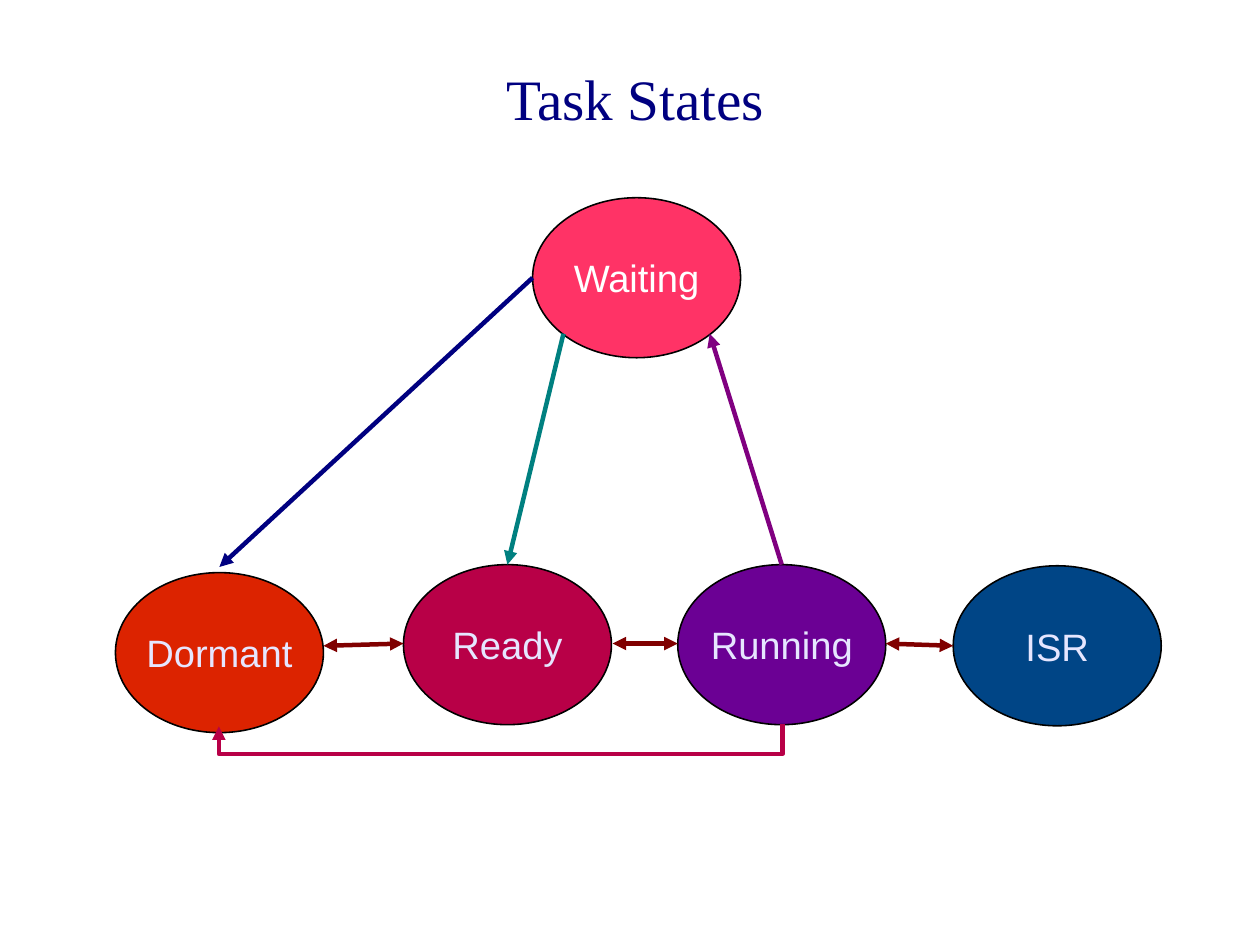
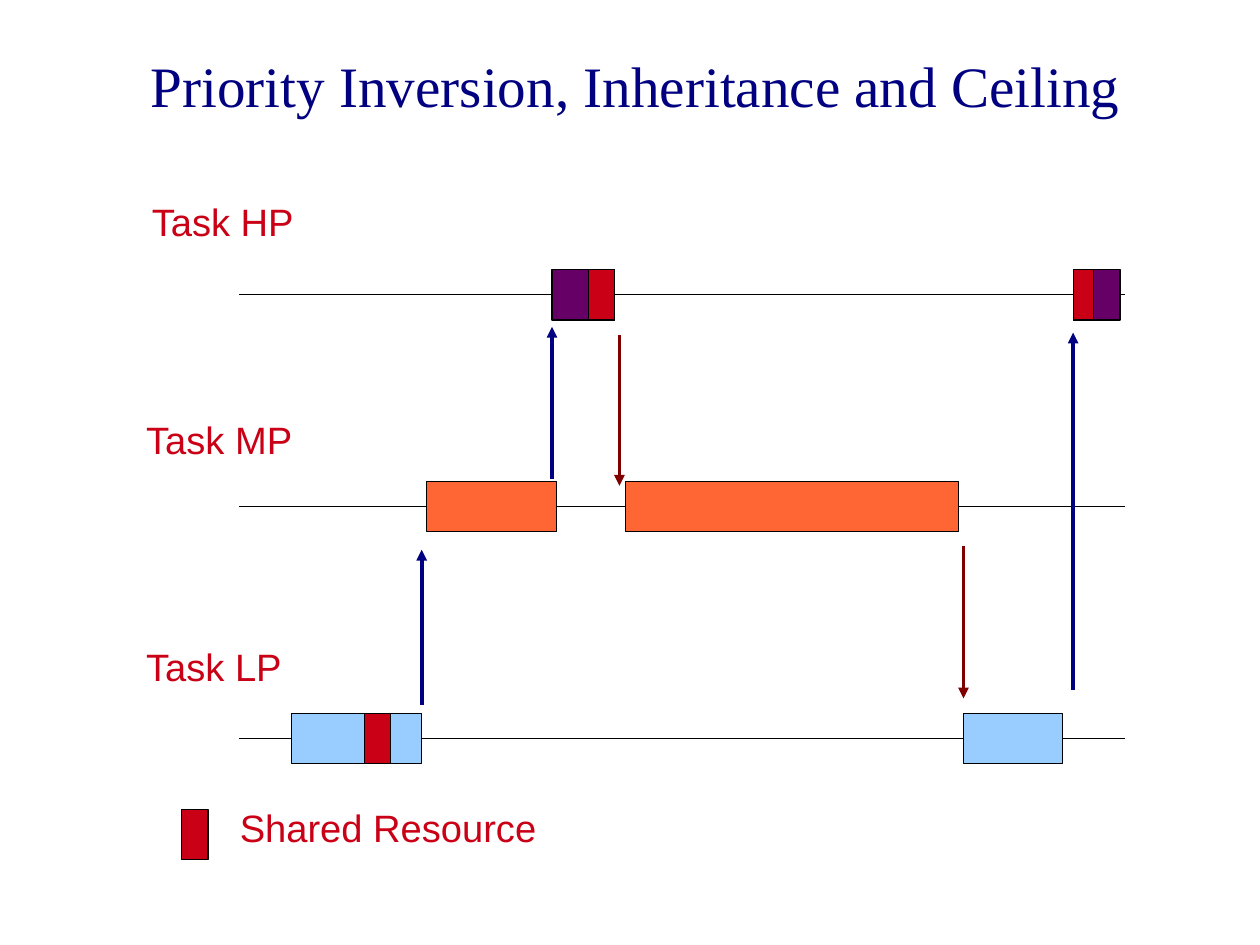
import pptx
import pptx.util
import pptx.dml.color
import pptx.enum.shapes
import pptx.enum.text
import pptx.oxml.ns
import lxml.etree

PX = 9144  # 100 px to the inch
PAGE_SIZE = (10080625, 7559675)  # EMU, the 28 by 21 cm screen format
COLORS = {
    "navy": "000080", "teal": "008080", "purple": "800080", "maroon": "800000",
    "black": "000000", "white": "FFFFFF", "lavender": "E6E6FF",
    "pink": "FF3366", "red": "DC2300", "crimson": "B80047",
    "violet": "6B0094", "blue": "004586",
    "resource": "C90016", "low": "99CCFF", "medium": "FF6633", "high": "660066",
}
SHAPES = pptx.enum.shapes.MSO_SHAPE
CONNECTORS = pptx.enum.shapes.MSO_CONNECTOR
ALIGN = pptx.enum.text.PP_ALIGN
MIDDLE = pptx.enum.text.MSO_ANCHOR.MIDDLE
STATE_SIZE = (182, 140)
BAR_HEIGHT = 44
RESOURCE_WIDTH = 23


def px(*lengths):
    return [pptx.util.Emu(length * PX) for length in lengths]


def rgb(name):
    return pptx.dml.color.RGBColor.from_string(COLORS[name])


def write(shape, text, color, size=24, font="Arial", align=ALIGN.LEFT):
    shape.text_frame.text = text
    para = shape.text_frame.paragraphs[0]
    para.alignment = align
    span = para.runs[0]
    span.font.size = pptx.util.Pt(size)
    span.font.name = font
    span.font.color.rgb = rgb(color)


def add_page(deck, title, top, height):
    page = deck.slides.add_slide(deck.slide_layouts[5])
    box = page.shapes.title
    box.left, box.top, box.width, box.height = px(56, top, 1000, height)
    write(box, title, "navy", 36, "Times New Roman", ALIGN.CENTER)
    frame = box.text_frame
    frame.vertical_anchor = MIDDLE
    frame.margin_left = frame.margin_right = frame.margin_bottom = 0
    frame.margin_top = px(3)[0]
    frame.paragraphs[0].line_spacing = 0.93
    return page


def add_filled(page, kind, place, fill, line_width):
    shape = page.shapes.add_shape(kind, *px(*place))
    shape.shadow.inherit = False
    shape.fill.solid()
    shape.fill.fore_color.rgb = rgb(fill)
    shape.line.color.rgb = rgb("black")
    shape.line.width = pptx.util.Pt(line_width)
    return shape


def add_label(page, text, place):
    box = page.shapes.add_textbox(*px(*place))
    box.text_frame.word_wrap = True
    write(box, text, "resource")


def add_line(page, start, end, color="black", width=0.75, arrows=(), kind=CONNECTORS.STRAIGHT):
    """arrows holds "headEnd" for the start and "tailEnd" for the end."""
    line = page.shapes.add_connector(kind, *px(*start, *end))
    line.line.color.rgb = rgb(color)
    line.line.width = pptx.util.Pt(width)
    outline = line.line._get_or_add_ln()
    for arrow in arrows:
        lxml.etree.SubElement(outline, pptx.oxml.ns.qn("a:" + arrow), type="triangle")
    lxml.etree.SubElement(line._element.spPr, pptx.oxml.ns.qn("a:effectLst"))
    return line


def add_state(page, name, left, top, fill, color="lavender"):
    state = add_filled(page, SHAPES.OVAL, (left, top, *STATE_SIZE), fill, 1)
    write(state, name, color, align=ALIGN.CENTER)
    state.text_frame.vertical_anchor = MIDDLE
    state.text_frame.word_wrap = False
    return state


def add_return_path(page):
    """Elbow from below Running back to Dormant, a quarter turn of a tall connector."""
    elbow = add_line(page, (437, 388), (439, 881), "crimson", 2.83,
                     ["tailEnd"], CONNECTORS.ELBOW)
    properties = elbow._element.spPr
    properties.find(pptx.oxml.ns.qn("a:xfrm")).set("rot", "5400000")
    guides = properties.find(pptx.oxml.ns.qn("a:prstGeom")).find(pptx.oxml.ns.qn("a:avLst"))
    lxml.etree.SubElement(guides, pptx.oxml.ns.qn("a:gd"), name="adj1", fmla="val 1300000")


def build_task_states(deck):
    page = add_page(deck, "Task States", 58, 59)
    add_state(page, "Waiting", 466, 173, "pink", "white")
    add_state(page, "Dormant", 101, 501, "red")
    running = add_state(page, "Running", 593, 494, "violet")
    add_state(page, "ISR", 834, 495, "blue")
    ready = add_state(page, "Ready", 353, 494, "crimson")

    one_way, both_ways = ["tailEnd"], ["headEnd", "tailEnd"]
    add_line(page, (466, 243), (192, 496), "navy", 2.83, one_way)
    add_line(page, (493, 292), (444, 494), "teal", 2.83, one_way).end_connect(ready, 0)
    add_line(page, (684, 494), (621, 292), "purple", 2.83, one_way).begin_connect(running, 0)
    for start, end in [((283, 565), (353, 563)), ((536, 563), (593, 563)),
                       ((775, 563), (834, 565))]:
        add_line(page, start, end, "maroon", 2.83, both_ways)
    add_return_path(page)


def add_bar(page, left, top, width, fill):
    add_filled(page, SHAPES.RECTANGLE, (left, top, width, BAR_HEIGHT), fill, 0.75)


def add_lane(page, name, label_place, axis, bars):
    """One task's time line; bars are (left, width, fill) centred on the axis."""
    add_line(page, (209, axis), (984, axis))
    add_label(page, name, label_place)
    for left, width, fill in bars:
        add_bar(page, left, axis - BAR_HEIGHT // 2, width, fill)


def add_legend(page, left, top):
    add_bar(page, left, top + 9, RESOURCE_WIDTH, "resource")
    add_label(page, "Shared Resource", (left + 41, top, 296, 53))


def build_priority_inversion(deck):
    page = add_page(deck, "Priority Inversion, Inheritance and Ceiling", 18, 115)
    add_lane(page, "Task LP", (118, 558, 160, 53), 646, [
        (255, 114, "low"), (319, RESOURCE_WIDTH, "resource"), (843, 87, "low")])
    add_lane(page, "Task MP", (118, 359, 182, 53), 443, [
        (373, 114, "medium"), (547, 292, "medium")])
    add_lane(page, "Task HP", (123, 169, 160, 53), 258, [
        (483, 55, "high"), (515, RESOURCE_WIDTH, "resource"),
        (939, 41, "high"), (939, 18, "resource")])
    for x, start, end in [(369, 617, 481), (483, 419, 286), (939, 604, 291),
                          (542, 293, 425), (843, 478, 611)]:
        color = "navy" if end < start else "maroon"
        add_line(page, (x, start), (x, end), color, 2.27, ["tailEnd"])
    add_legend(page, 159, 699)


def main():
    deck = pptx.Presentation()
    deck.slide_width, deck.slide_height = PAGE_SIZE
    build_task_states(deck)
    build_priority_inversion(deck)
    deck.save("out.pptx")


if __name__ == "__main__":
    main()
